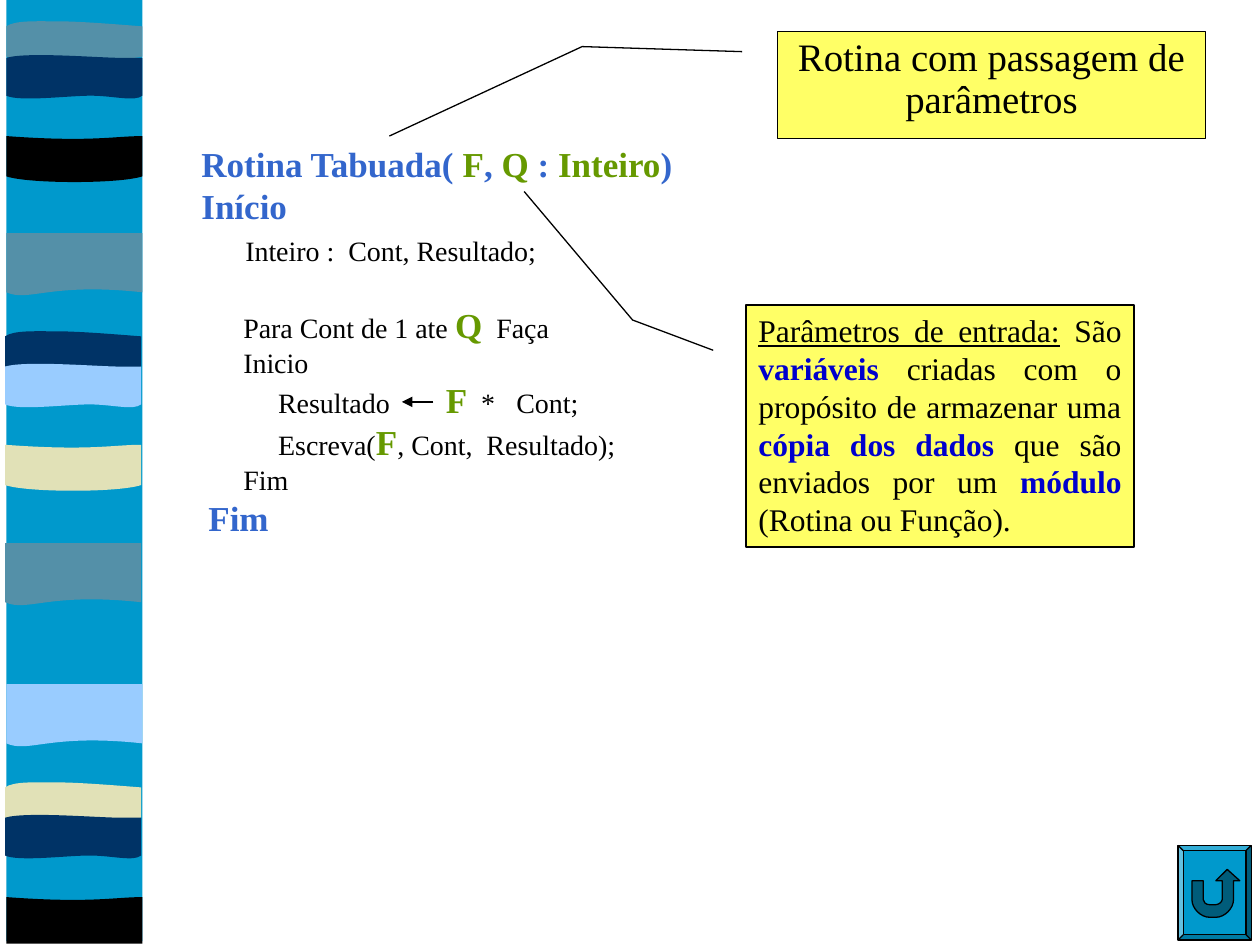
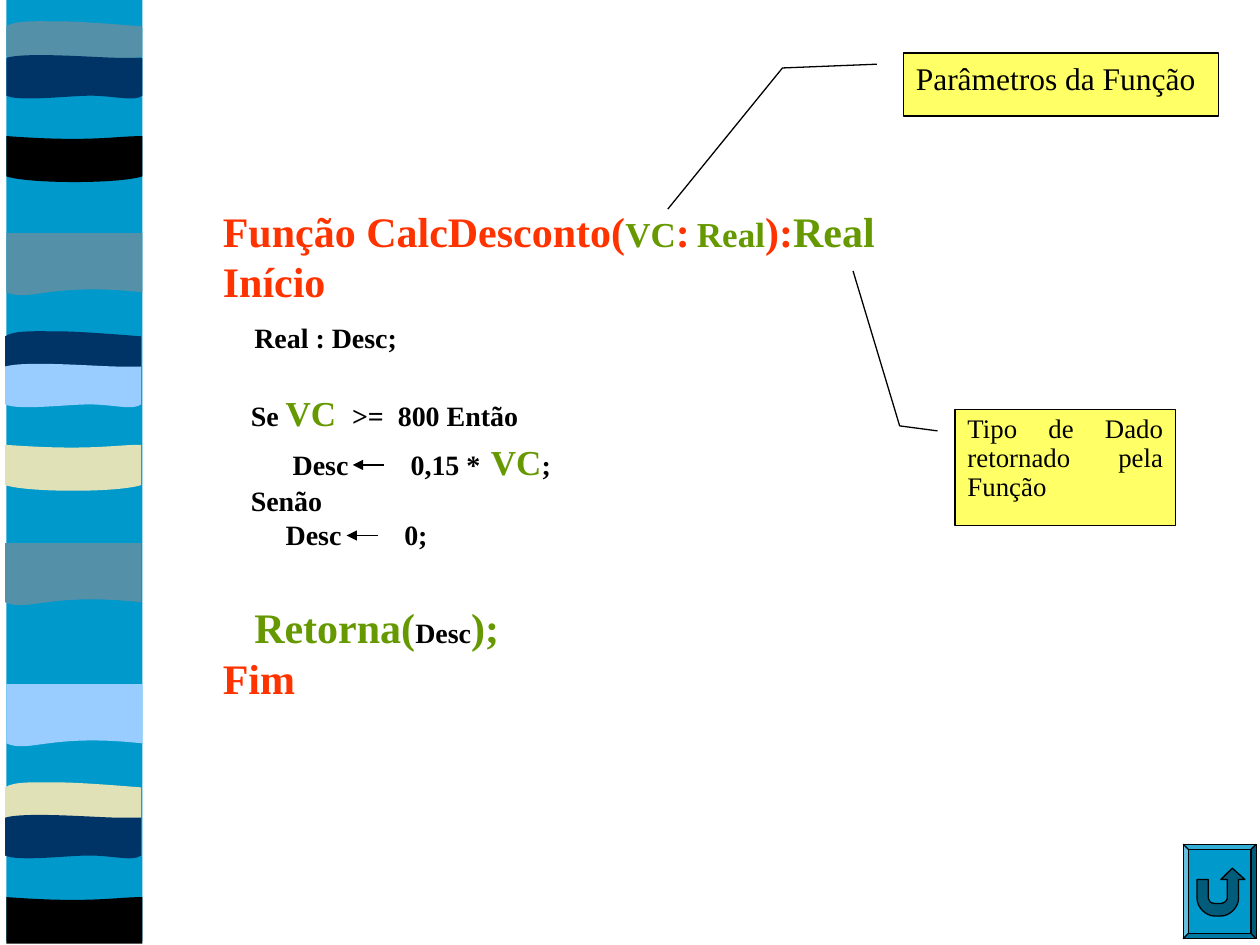
"""Build two slides on subroutines with parameters, beside a striped wave sidebar."""
from typing import NamedTuple

from lxml import etree
from pptx import Presentation
from pptx import util as u
from pptx.dml.color import RGBColor
from pptx.enum import shapes, text
from pptx.oxml.ns import qn

PX = 9144
FONT = "Times New Roman"

BLACK = RGBColor(0x00, 0x00, 0x00)
SEA = RGBColor(0x00, 0x99, 0xCC)
DEEP_SEA = RGBColor(0x00, 0x5C, 0x7A)
STEEL = RGBColor(0x54, 0x90, 0xA8)
NAVY = RGBColor(0x00, 0x33, 0x66)
SKY = RGBColor(0x99, 0xCC, 0xFF)
SAND = RGBColor(0xE1, 0xE1, 0xB7)
YELLOW = RGBColor(0xFF, 0xFF, 0x66)
BLUE = RGBColor(0x33, 0x66, 0xCC)
GREEN = RGBColor(0x66, 0x99, 0x00)
RED = RGBColor(0xFF, 0x33, 0x00)
KEYWORD = RGBColor(0x00, 0x00, 0xCC)

Point = tuple[int, int]
Outline = list[tuple[Point, ...]]

SLAB: Outline = [((108, 0),), ((108, 47),), ((34, 39), (18, 55), (0, 47)), ((0, 0),)]
CREST: Outline = [
    ((108, 5),), ((108, 29),), ((90, 33), (18, 33), (0, 29)), ((0, 5),),
    ((7, 0), (24, 1), (42, 1)), ((60, 1), (95, 4), (108, 5)),
]
HULL: Outline = [
    ((108, 0),), ((108, 32),), ((90, 38), (18, 38), (0, 32)), ((0, 0),),
    ((67, 5), (86, 0), (108, 0)),
]
BASE: Outline = [((108, 0),), ((108, 37),), ((0, 37),), ((0, 0),), ((67, 5), (86, 0), (108, 0))]
RIBBON: Outline = [
    ((108, 5),), ((108, 35),), ((102, 40), (85, 35), (67, 35)),
    ((49, 35), (11, 40), (0, 35)), ((0, 5),),
    ((16, 0), (74, 5), (92, 5)), ((110, 5), (105, 5), (108, 5)),
]
RETURN_ARROW: Outline = [
    ((11, 28),), ((20, 28),), ((20, 43),), ((20, 45), (22, 47), (25, 47)),
    ((30, 47),), ((32, 47), (35, 45), (35, 43)), ((35, 28),), ((30, 28),),
    ((39, 19),), ((49, 28),), ((44, 28),), ((44, 43),),
    ((44, 50), (37, 57), (30, 57)), ((25, 57),), ((18, 57), (11, 50), (11, 43)),
]


class Band(NamedTuple):
    """One wave of the sidebar."""
    left: int
    top: int
    outline: Outline
    color: RGBColor


class Span(NamedTuple):
    """A stretch of text in one style."""
    words: str
    size: float = 16
    color: RGBColor = BLACK
    bold: bool = False
    underline: bool = False


class Line(NamedTuple):
    """A paragraph with its space before in points and its tab stops in px."""
    spans: list[Span]
    before: int = 0
    tabs: tuple[int, ...] = ()


class Box(NamedTuple):
    """A rectangle in px."""
    left: int
    top: int
    width: int
    height: int


class Callout(NamedTuple):
    """A yellow note with the three points of its leader."""
    box: Box
    leader: tuple[Point, Point, Point]
    spans: list[Span]
    align: text.PP_ALIGN = text.PP_ALIGN.JUSTIFY
    spacing: float = 1.0


class Page(NamedTuple):
    """Everything that one slide holds beside the sidebar."""
    code_box: Box
    code: list[Line]
    callouts: list[Callout]
    arrows: list[Point]
    button: Point


BANDS = [
    Band(5, 185, SLAB, STEEL), Band(5, 16, CREST, STEEL),
    Band(5, 108, HULL, BLACK), Band(5, 41, RIBBON, NAVY),
    Band(4, 431, SLAB, STEEL), Band(4, 262, CREST, NAVY),
    Band(4, 353, HULL, SAND), Band(4, 286, RIBBON, SKY),
    Band(5, 543, SLAB, SKY), Band(4, 620, CREST, SAND),
    Band(5, 712, BASE, BLACK), Band(4, 644, RIBBON, NAVY),
]


def head(words: str, color: RGBColor, size: float = 20) -> Span:
    """Return a bold coloured span."""
    return Span(words, size, color, True)


def strong(words: str) -> Span:
    """Return a bold black span of code."""
    return Span(words, bold=True)


def note(words: str) -> Span:
    """Return a plain span of the parameter notes."""
    return Span(words, 18)


def keyword(words: str) -> Span:
    """Return a highlighted span of the parameter notes."""
    return head(words, KEYWORD, 18)


ROUTINE = Page(
    Box(150, 108, 408, 324),
    [
        Line([head("Rotina Tabuada( ", BLUE), head("F", GREEN), head(", ", BLUE), head("Q ", GREEN),
              head(": ", BLUE), head("Inteiro", GREEN), head(")", BLUE)]),
        Line([head("Início", BLUE)]),
        Line([Span("     ", 20), Span("Inteiro :  Cont, Resultado;")]),
        Line([Span("      Para Cont de 1 ate "), head("Q", GREEN), Span("  Faça")], before=20),
        Line([Span("      Inicio")]),
        Line([Span("           Resultado\t"), head("F", GREEN), Span("  *\tCont;")], tabs=(194, 250)),
        Line([Span("           Escreva("), head("F", GREEN), Span(", Cont,  Resultado);")]),
        Line([Span("      Fim")]),
        Line([Span(" "), head("Fim", BLUE)]),
    ],
    [
        Callout(Box(617, 25, 340, 85), ((589, 41), (462, 37), (309, 108)),
                [Span("Rotina com passagem de parâmetros", 22.2)], text.PP_ALIGN.CENTER, 0.9),
        Callout(Box(592, 242, 308, 192), ((566, 278), (502, 254), (416, 152)), [
            Span("Parâmetros de entrada:", 18, underline=True), note(" São "), keyword("variáveis"),
            note(" criadas com o propósito de armazenar uma "), keyword("cópia dos dados"),
            note(" que são enviados por um "), keyword("módulo"), note(" (Rotina ou Função)."),
        ]),
    ],
    [(344, 319)],
    (935, 671),
)

FUNCTION = Page(
    Box(167, 158, 575, 404),
    [
        Line([head("Função CalcDesconto(", RED, 24), head("VC", GREEN), head(":", RED, 24), Span(" "),
              head("Real", GREEN), head("):", RED, 24), head("Real", GREEN, 24)]),
        Line([head("Início", RED, 24)]),
        Line([head("   ", RED, 24), strong("Real : Desc;")]),
        Line([strong("    Se "), head("VC ", GREEN), strong(" >=  800 Então")], before=20),
        Line([strong("          Desc\t0,15 *"), head(" ", RED, 24), head("VC", GREEN), strong(";")],
             tabs=(149,)),
        Line([strong("    Senão")]),
        Line([strong("         Desc\t0;")], tabs=(144,)),
        Line([head("   Retorna(", GREEN, 24), strong("Desc"), head(");", GREEN, 24)], before=29),
        Line([head("Fim", RED, 24)]),
    ],
    [
        Callout(Box(717, 42, 250, 50), ((696, 51), (621, 54), (530, 166)), [note("Parâmetros da Função")]),
        Callout(Box(758, 325, 175, 92), ((744, 342), (714, 338), (677, 215)),
                [Span("Tipo de Dado retornado pela Função", 15.3)], spacing=0.9),
    ],
    [(305, 369), (300, 425)],
    (939, 670),
)


def emu(box: Box) -> list[u.Emu]:
    """Turn a box in px into EMU."""
    return [u.Emu(side * PX) for side in box]


def paint(shape, color: RGBColor, outlined: bool = False) -> None:
    """Give a shape a flat fill, with a thin black outline or none."""
    shape.shadow.inherit = False
    shape.fill.solid()
    shape.fill.fore_color.rgb = color
    if outlined:
        shape.line.color.rgb = BLACK
        shape.line.width = u.Pt(0.75)
    else:
        shape.line.fill.background()


def bend(shape, outline: Outline) -> None:
    """Join the three points of each cubic segment into one curve."""
    geometry = shape.element.find(".//" + qn("a:path"))
    steps = iter(geometry.findall(qn("a:lnTo")))
    for segment in outline[1:]:
        first, *others = [next(steps) for _ in segment]
        if others:
            first.tag = qn("a:cubicBezTo")
        for other in others:
            first.append(other[0])
            geometry.remove(other)


def add_outline(slide, outline: Outline, left: int, top: int, color: RGBColor, outlined: bool = False) -> None:
    """Draw a closed outline with its corner at left, top."""
    start, *rest = [(left + x, top + y) for segment in outline for x, y in segment]
    builder = slide.shapes.build_freeform(*start, scale=PX)
    builder.add_line_segments(rest, close=True)
    shape = builder.convert_to_shape()
    bend(shape, outline)
    paint(shape, color, outlined)


def add_sidebar(slide) -> None:
    """Draw the blue strip and its waves."""
    strip = slide.shapes.add_shape(shapes.MSO_SHAPE.RECTANGLE, *emu(Box(5, 0, 108, 747)))
    paint(strip, SEA)
    for band in BANDS:
        add_outline(slide, band.outline, band.left, band.top, band.color)


def add_spans(paragraph, spans: list[Span]) -> None:
    """Add styled text run by run."""
    for span in spans:
        run = paragraph.add_run()
        run.text = span.words
        run.font.name = FONT
        run.font.size = u.Pt(span.size)
        run.font.bold = span.bold
        run.font.underline = span.underline
        run.font.color.rgb = span.color


def add_code(slide, box: Box, lines: list[Line]) -> None:
    """Write the pseudocode listing."""
    frame = slide.shapes.add_textbox(*emu(box)).text_frame
    frame.word_wrap = True
    for index, line in enumerate(lines):
        paragraph = frame.add_paragraph() if index else frame.paragraphs[0]
        if line.before:
            paragraph.space_before = u.Pt(line.before)
        if line.tabs:
            tab_list = etree.SubElement(paragraph._p.get_or_add_pPr(), qn("a:tabLst"))
            for stop in line.tabs:
                etree.SubElement(tab_list, qn("a:tab"), pos=str(stop * PX), algn="l")
        add_spans(paragraph, line.spans)


def add_callout(slide, callout: Callout) -> None:
    """Draw a note with its bent leader."""
    box = callout.box
    shape = slide.shapes.add_shape(shapes.MSO_SHAPE.LINE_CALLOUT_2, *emu(box))
    paint(shape, YELLOW, outlined=True)
    for index, (x, y) in enumerate(callout.leader):
        shape.adjustments[2 * index] = (y - box.top) / box.height
        shape.adjustments[2 * index + 1] = (x - box.left) / box.width
    shape.text_frame.word_wrap = True
    shape.text_frame.vertical_anchor = text.MSO_ANCHOR.TOP
    paragraph = shape.text_frame.paragraphs[0]
    paragraph.alignment = callout.align
    paragraph.line_spacing = callout.spacing
    add_spans(paragraph, callout.spans)


def add_assignment_arrow(slide, start: Point) -> None:
    """Draw a short arrow to the left."""
    x, y = start
    ends = [u.Emu(side * PX) for side in (x, y, x - 25, y)]
    connector = slide.shapes.add_connector(shapes.MSO_CONNECTOR.STRAIGHT, *ends)
    connector.line.color.rgb = BLACK
    connector.line.width = u.Pt(0.75)
    properties = connector.element.spPr
    etree.SubElement(properties.find(qn("a:ln")), qn("a:tailEnd"), type="triangle")
    etree.SubElement(properties, qn("a:effectLst"))


def add_return_button(slide, corner: Point) -> None:
    """Draw the bevelled button with its return arrow."""
    shape = slide.shapes.add_shape(shapes.MSO_SHAPE.BEVEL, *emu(Box(*corner, 58, 75)))
    shape.adjustments[0] = 0.07
    paint(shape, SEA, outlined=True)
    add_outline(slide, RETURN_ARROW, *corner, DEEP_SEA, outlined=True)


def main() -> None:
    """Build and save the presentation."""
    presentation = Presentation()
    presentation.slide_width, presentation.slide_height = u.Emu(1000 * PX), u.Emu(750 * PX)
    for page in (ROUTINE, FUNCTION):
        slide = presentation.slides.add_slide(presentation.slide_layouts[6])
        add_sidebar(slide)
        add_code(slide, page.code_box, page.code)
        add_return_button(slide, page.button)
        for callout in page.callouts:
            add_callout(slide, callout)
        for start in page.arrows:
            add_assignment_arrow(slide, start)
    presentation.save("out.pptx")


if __name__ == "__main__":
    main()
